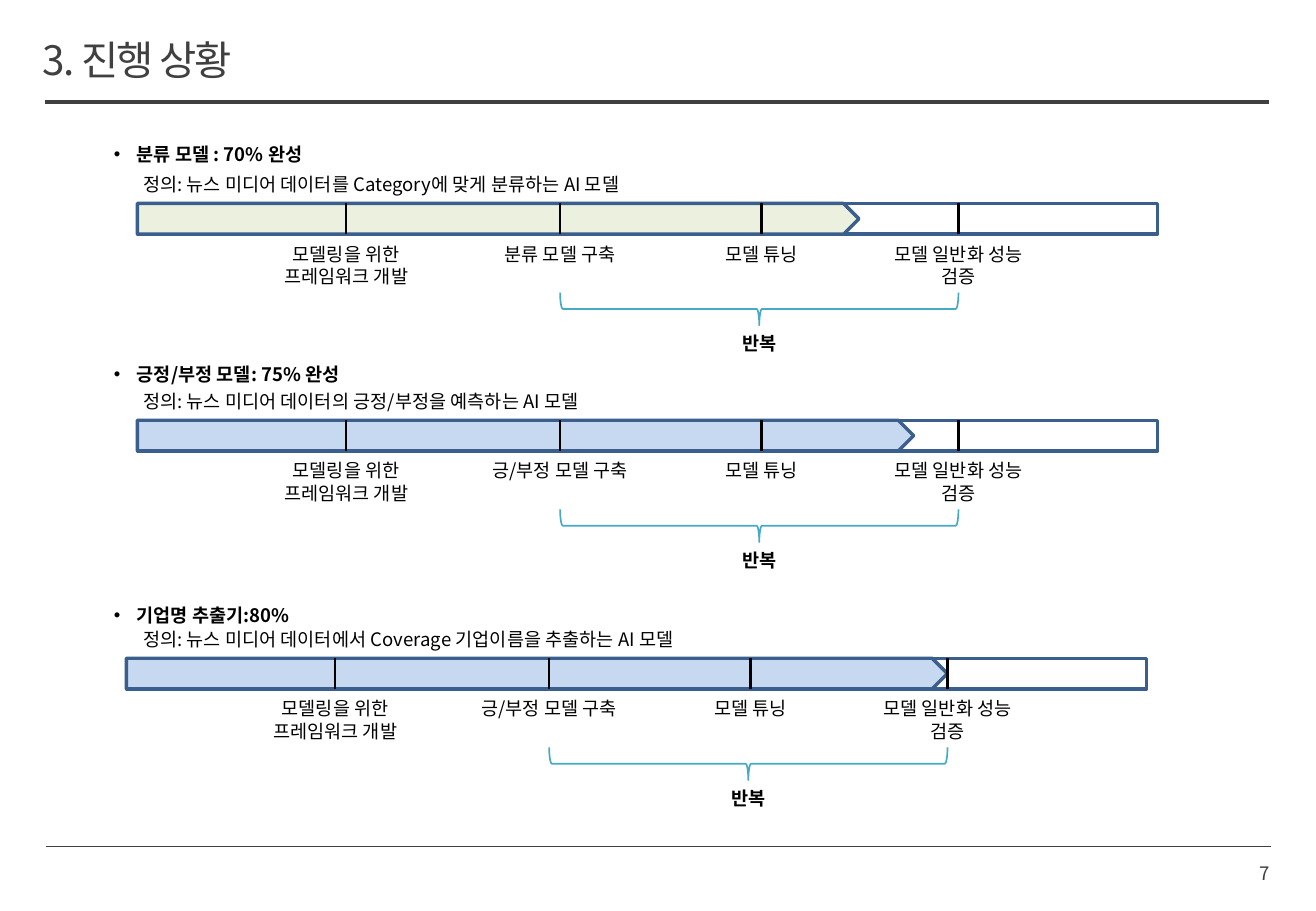
from lxml import etree
from pptx import Presentation
from pptx.dml.color import RGBColor
from pptx.enum import shapes, text
from pptx.oxml import ns
from pptx.util import Pt

BLACK = RGBColor(0x00, 0x00, 0x00)
GRAY = RGBColor(0x40, 0x40, 0x40)
NAVY = RGBColor(0x3A, 0x5F, 0x8C)
TEAL = RGBColor(0x46, 0xAA, 0xC5)
GREEN = RGBColor(0xEB, 0xF1, 0xDE)
BLUE = RGBColor(0xC6, 0xD9, 0xF1)

BAR_WIDTH, BAR_HEIGHT = 604.8, 18.2
LABEL_WIDTH = 97.2
STEP_OFFSETS = (123.8, 250.6, 370, 486.7)
HEADING_LEFT, DEFINITION_LEFT = 60.5, 77.8

# heading, heading top, definition, second step, bar left, bar top, progress width, fill
MODELS = (
    ("분류 모델 : 70% 완성", 81.4,
     "정의: 뉴스 미디어 데이터를 Category에 맞게 분류하는 AI 모델",
     "분류 모델 구축", 81.4, 120.6, 427.7, GREEN),
    ("긍정/부정 모델: 75% 완성", 211.7,
     "정의: 뉴스 미디어 데이터의 긍정/부정을 예측하는 AI 모델",
     "긍/부정 모델 구축", 81.4, 249.1, 460.1, BLUE),
    ("기업명 추출기:80%", 354.2,
     "정의: 뉴스 미디어 데이터에서 Coverage 기업이름을 추출하는 AI 모델",
     "긍/부정 모델 구축", 74.9, 390.2, 486.7, BLUE),
)


class ProgressSlide:
    font = "Noto Sans CJK KR"

    def __init__(self, slide):
        self.shapes = slide.shapes

    def line(self, x1, y1, x2, y2, color, weight):
        rule = self.shapes.add_connector(
            shapes.MSO_CONNECTOR.STRAIGHT, Pt(x1), Pt(y1), Pt(x2), Pt(y2))
        rule.line.color.rgb = color
        rule.line.width = Pt(weight)
        etree.SubElement(rule._element.spPr, ns.qn("a:effectLst"))

    def shape(self, kind, left, top, width, height, color, weight, fill=None):
        outline = self.shapes.add_shape(kind, Pt(left), Pt(top), Pt(width), Pt(height))
        outline.shadow.inherit = False
        outline.line.color.rgb = color
        outline.line.width = Pt(weight)
        if fill is None:
            outline.fill.background()
        else:
            outline.fill.solid()
            outline.fill.fore_color.rgb = fill
        return outline

    def text(self, words, left, top, width, height, size=11, color=BLACK, bold=False,
             align=text.PP_ALIGN.LEFT, anchor=text.MSO_ANCHOR.TOP,
             inset=True, bullet=False, spacing=None):
        box = self.shapes.add_textbox(Pt(left), Pt(top), Pt(width), Pt(height))
        frame = box.text_frame
        frame.word_wrap = True
        frame.vertical_anchor = anchor
        if not inset:
            frame.margin_left = frame.margin_right = Pt(0)
            frame.margin_top = frame.margin_bottom = Pt(0)
        frame.text = words
        paragraph = frame.paragraphs[0]
        paragraph.alignment = align
        if bullet:
            properties = paragraph._p.get_or_add_pPr()
            properties.set("marL", str(Pt(13.5)))
            properties.set("indent", str(-Pt(13.5)))
            etree.SubElement(properties, ns.qn("a:buFont"), typeface="Arial")
            etree.SubElement(properties, ns.qn("a:buChar"), char="•")
        run = paragraph.runs[0]
        run.font.name = self.font
        run.font.size = Pt(size)
        run.font.bold = bold
        run.font.color.rgb = color
        run_properties = run._r.get_or_add_rPr()
        etree.SubElement(run_properties, ns.qn("a:ea"), typeface=self.font)
        if spacing is not None:
            run_properties.set("spc", str(spacing))

    def label(self, words, center, top, height, bold=False):
        self.text(words, center - LABEL_WIDTH / 2, top, LABEL_WIDTH, height,
                  bold=bold, align=text.PP_ALIGN.CENTER)

    def brace(self, start, end, top, depth):
        """Draw a brace that opens upwards and spans start to end."""
        span = end - start
        bracket = self.shape(shapes.MSO_SHAPE.LEFT_BRACE, (start + end - depth) / 2,
                             top + (depth - span) / 2, depth, span, TEAL, 1)
        bracket.rotation = 270

    def model(self, heading, heading_top, definition, build_step, left, top, progress, fill):
        """Draw one model: heading, definition, progress bar, steps and repeat brace."""
        self.text(heading, HEADING_LEFT, heading_top, 674.6, 20.9, bold=True, bullet=True)
        self.text(definition, DEFINITION_LEFT, top - 21.6, 674.6, 20.9)
        self.shape(shapes.MSO_SHAPE.RECTANGLE, left, top, BAR_WIDTH, BAR_HEIGHT, NAVY, 2)
        self.shape(shapes.MSO_SHAPE.PENTAGON, left, top, progress, BAR_HEIGHT, NAVY, 2, fill)
        steps = ("모델링을 위한 프레임워크 개발", build_step, "모델 튜닝", "모델 일반화 성능 검증")
        ticks = [left + offset for offset in STEP_OFFSETS]
        for step, tick in zip(steps, ticks):
            self.line(tick, top, tick, top + BAR_HEIGHT, BLACK, 1.5)
            self.label(step, tick, top + 19.6, 33.8)
        self.brace(ticks[1], ticks[-1], top + 52.8, 19.4)
        self.label("반복", (ticks[1] + ticks[-1]) / 2, top + 72.7, 20.9, bold=True)


def main():
    deck = Presentation()
    deck.slide_width, deck.slide_height = Pt(780), Pt(540)
    page = ProgressSlide(deck.slides.add_slide(deck.slide_layouts[6]))
    page.line(27.4, 501.8, 753.1, 501.8, GRAY, 0.5)
    page.line(26.6, 60.5, 752.4, 60.5, GRAY, 2)
    page.text("7", 570.2, 503.3, 182.2, 28.8, color=GRAY, align=text.PP_ALIGN.RIGHT,
              anchor=text.MSO_ANCHOR.MIDDLE, inset=False)
    page.text("3. 진행 상황", 25.2, 20.9, 500.4, 28.8, size=24, color=GRAY,
              inset=False, spacing=-110)
    for model in MODELS:
        page.model(*model)
    deck.save("out.pptx")


if __name__ == "__main__":
    main()
